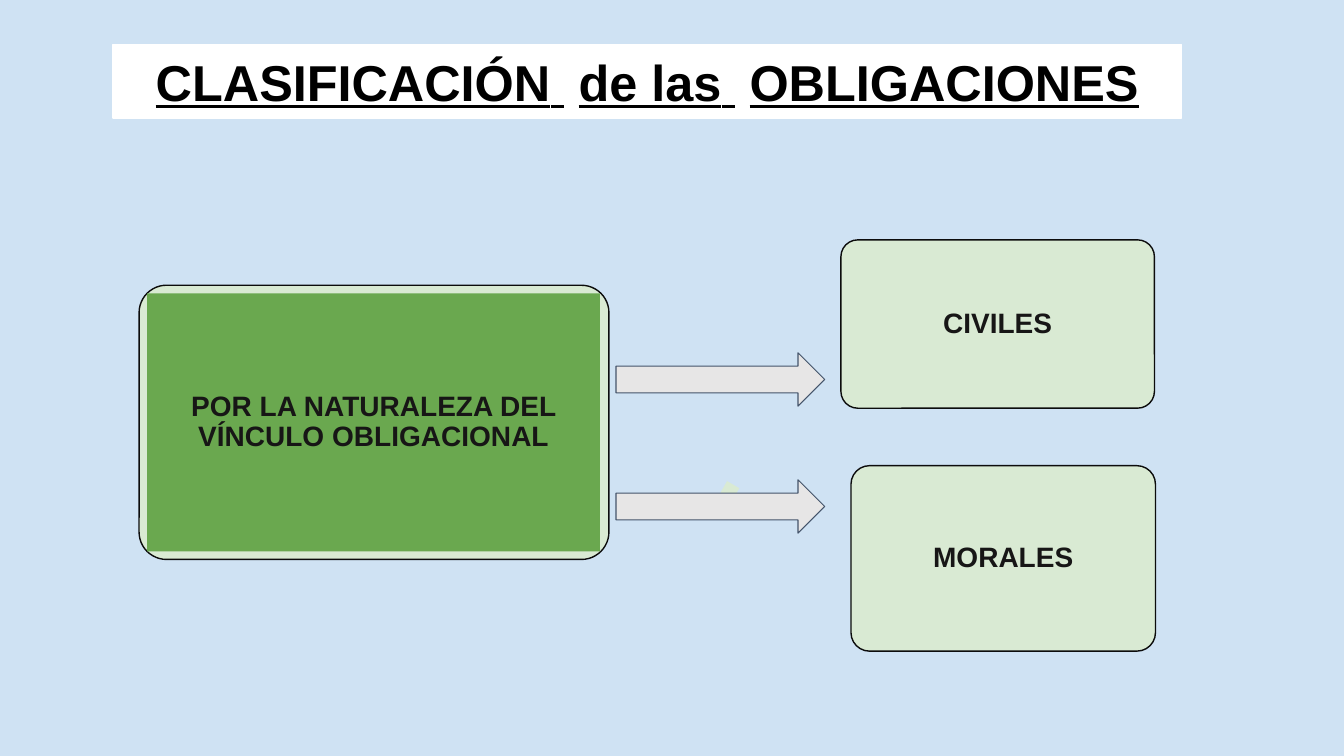
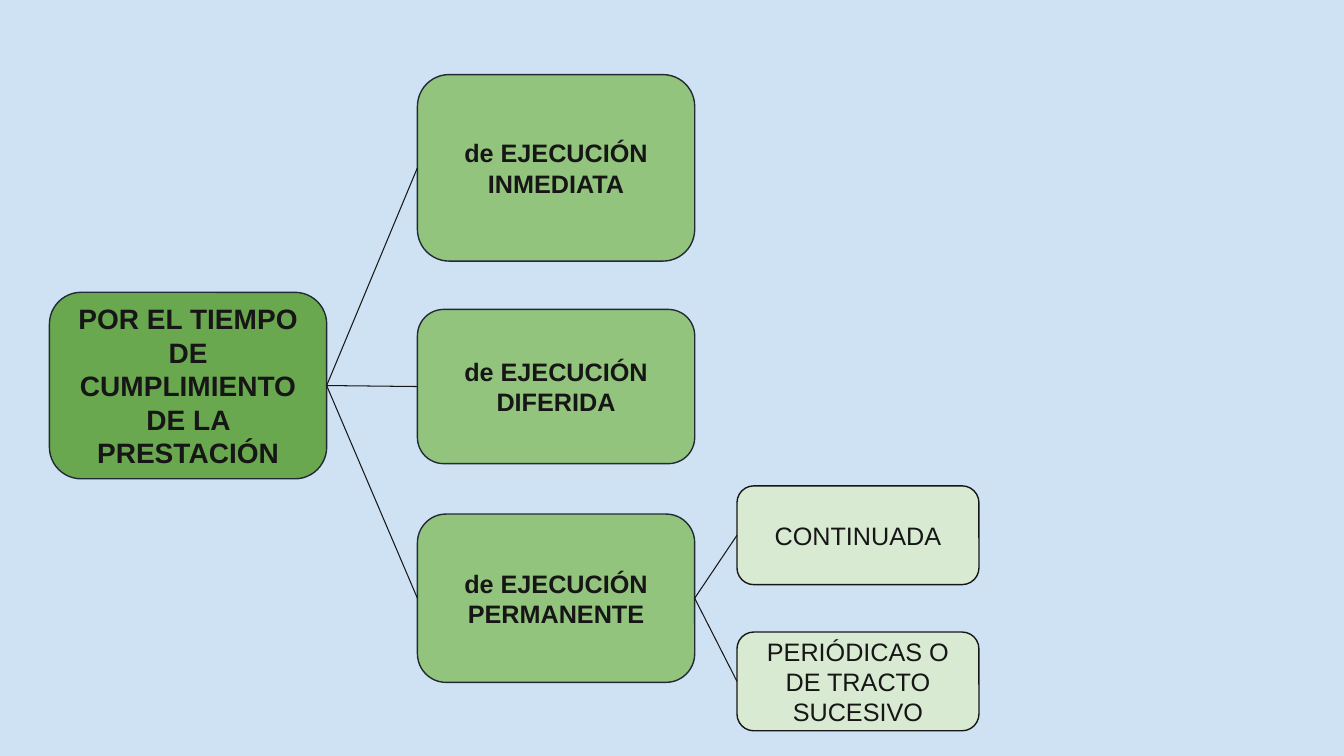
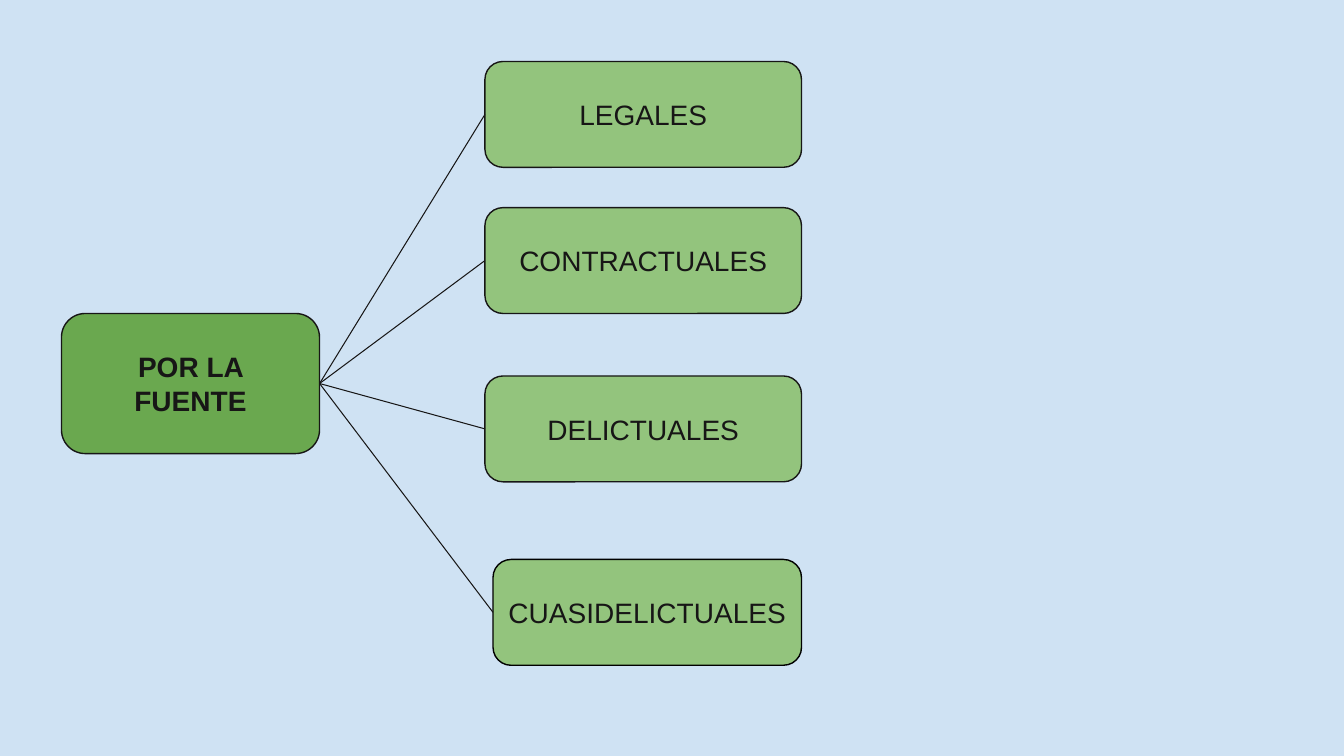
from lxml import etree
from pptx import Presentation
from pptx import util as u
from pptx.dml import color
from pptx.enum import shapes, text
from pptx.oxml import ns

SKY, WHITE, BLACK, INK = "CFE2F3", "FFFFFF", "000000", "171616"
GREEN, MID_GREEN, PALE_GREEN = "6AA84F", "93C47D", "D9EAD3"
GREY, SLATE, NAVY, CHARCOAL = "E7E6E6", "44546A", "222A35", "0C0C0C"
TITLE_ONLY, BLANK = 5, 6
LEFT_SITE, RIGHT_SITE = 1, 3


def rgb(value):
    return color.RGBColor.from_string(value)


def apply(target, values):
    for name, value in values.items():
        setattr(target, name, value)


class Deck:
    font = {"name": "Arial", "bold": False}
    frame = {
        "word_wrap": True,
        "auto_size": text.MSO_AUTO_SIZE.NONE,
        "vertical_anchor": text.MSO_ANCHOR.MIDDLE,
        "margin_left": u.Inches(0.1),
        "margin_right": u.Inches(0.1),
        "margin_top": u.Inches(0.05),
        "margin_bottom": u.Inches(0.05),
    }

    def __init__(self):
        self.prs = Presentation()
        apply(self.prs, {"slide_width": u.Inches(13.33), "slide_height": u.Inches(7.5)})
        background = self.prs.slide_master.background.fill
        background.solid()
        background.fore_color.rgb = rgb(SKY)
        self.slide = None

    def new_slide(self, layout=BLANK):
        self.slide = self.prs.slides.add_slide(self.prs.slide_layouts[layout])

    def paint(self, shape, fill, outline=None, weight=1):
        shape.fill.solid()
        shape.fill.fore_color.rgb = rgb(fill)
        if outline:
            shape.line.color.rgb = rgb(outline)
            shape.line.width = u.Pt(weight)
        else:
            shape.line.fill.background()

    def centre(self, shape, spacing=1.0):
        apply(shape.text_frame, self.frame)
        paragraph = shape.text_frame.paragraphs[0]
        apply(paragraph, {"alignment": text.PP_ALIGN.CENTER, "line_spacing": spacing})
        return paragraph

    def add_words(self, paragraph, words, size, ink=INK, **style):
        run = paragraph.add_run()
        run.text = words
        apply(run.font, {**self.font, "size": u.Pt(size), **style})
        run.font.color.rgb = rgb(ink)
        return run

    def title(self, parts, at, size, gap):
        heading = self.slide.shapes.title
        apply(heading, dict(zip(("left", "top", "width", "height"), map(u.Inches, at))))
        self.paint(heading, WHITE, WHITE)
        paragraph = self.centre(heading)
        style = {"bold": True, "underline": True}
        for index, part in enumerate(parts):
            if index:
                space = self.add_words(paragraph, " ", size, BLACK, **style)
                space._r.get_or_add_rPr().set("spc", str(gap * 100))
            self.add_words(paragraph, part, size, BLACK, **style)

    def shape(self, kind, at, fill, outline=None, weight=1, turn=0):
        item = self.slide.shapes.add_shape(kind, *map(u.Inches, at))
        item.shadow.inherit = False
        item.rotation = turn
        self.paint(item, fill, outline, weight)
        return item

    def box(self, at, fill, outline, words="", size=20, bold=False, corner=0.17, spacing=1.0):
        item = self.shape(shapes.MSO_SHAPE.ROUNDED_RECTANGLE, at, fill, outline)
        item.adjustments[0] = corner
        if words:
            self.add_words(self.centre(item, spacing), words, size, bold=bold)
        return item

    def panel(self, at, fill, words):
        item = self.shape(shapes.MSO_SHAPE.RECTANGLE, at, fill)
        self.add_words(self.centre(item, 0.9), words, 20, bold=True)

    def arrow(self, at):
        self.shape(shapes.MSO_SHAPE.RIGHT_ARROW, at, GREY, SLATE, 0.75)

    def branch(self, parent, children):
        for child in children:
            link = self.slide.shapes.add_connector(shapes.MSO_CONNECTOR.STRAIGHT, 0, 0, 0, 0)
            link.begin_connect(parent, RIGHT_SITE)
            link.end_connect(child, LEFT_SITE)
            link.line.color.rgb = rgb(INK)
            link.line.width = u.Pt(0.75)
            etree.SubElement(link._element.spPr, ns.qn("a:effectLst"))


def bond_nature(deck):
    deck.new_slide(TITLE_ONLY)
    deck.title(("CLASIFICACIÓN", "de las", "OBLIGACIONES"), (1.12, 0.44, 10.6, 0.73), 36, 10)
    deck.box((1.38, 2.83, 4.66, 2.72), PALE_GREEN, CHARCOAL, corner=0.1)
    deck.panel((1.46, 2.91, 4.49, 2.56), GREEN, "POR LA NATURALEZA DEL VÍNCULO OBLIGACIONAL")
    deck.shape(shapes.MSO_SHAPE.RECTANGLE, (7.17, 4.8, 0.14, 0.13), PALE_GREEN, turn=30)
    for words, at in (
        ("CIVILES", (8.34, 2.38, 3.11, 1.67)),
        ("MORALES", (8.44, 4.62, 3.02, 1.84)),
    ):
        deck.box(at, PALE_GREEN, CHARCOAL, words, bold=True, corner=0.1, spacing=0.9)
    for top in (3.5, 4.76):
        deck.arrow((6.11, top, 2.07, 0.53))


def fulfilment_time(deck):
    deck.new_slide()
    criterion = deck.box((0.49, 2.9, 2.75, 1.85), GREEN, NAVY,
                         "POR EL TIEMPO DE CUMPLIMIENTO DE LA PRESTACIÓN", bold=True)
    executions = [
        deck.box((4.14, top, 2.75, height), MID_GREEN, NAVY, f"de EJECUCIÓN {term}", 18, True)
        for term, top, height in (
            ("INMEDIATA", 0.74, 1.85),
            ("DIFERIDA", 3.07, 1.53),
            ("PERMANENTE", 5.1, 1.67),
        )
    ]
    permanent_kinds = [
        deck.box((7.31, top, 2.4, 0.98), PALE_GREEN, INK, words, 18)
        for words, top in (("CONTINUADA", 4.82), ("PERIÓDICAS O DE TRACTO SUCESIVO", 6.27))
    ]
    deck.branch(criterion, executions)
    deck.branch(executions[-1], permanent_kinds)


def source_of_duty(deck):
    deck.new_slide()
    criterion = deck.box((0.61, 3.11, 2.56, 1.39), GREEN, INK, "POR LA FUENTE", bold=True)
    right = 7.95
    sources = [
        deck.box((left, top, right - left, 1.05), MID_GREEN, outline, words)
        for words, left, top, outline in (
            ("LEGALES", 4.81, 0.61, INK),
            ("CONTRACTUALES", 4.81, 2.06, INK),
            ("DELICTUALES", 4.81, 3.73, INK),
            ("CUASIDELICTUALES", 4.89, 5.55, BLACK),
        )
    ]
    deck.branch(criterion, sources)


def main():
    deck = Deck()
    for build in (bond_nature, fulfilment_time, source_of_duty):
        build(deck)
    deck.prs.save("out.pptx")


if __name__ == "__main__":
    main()
